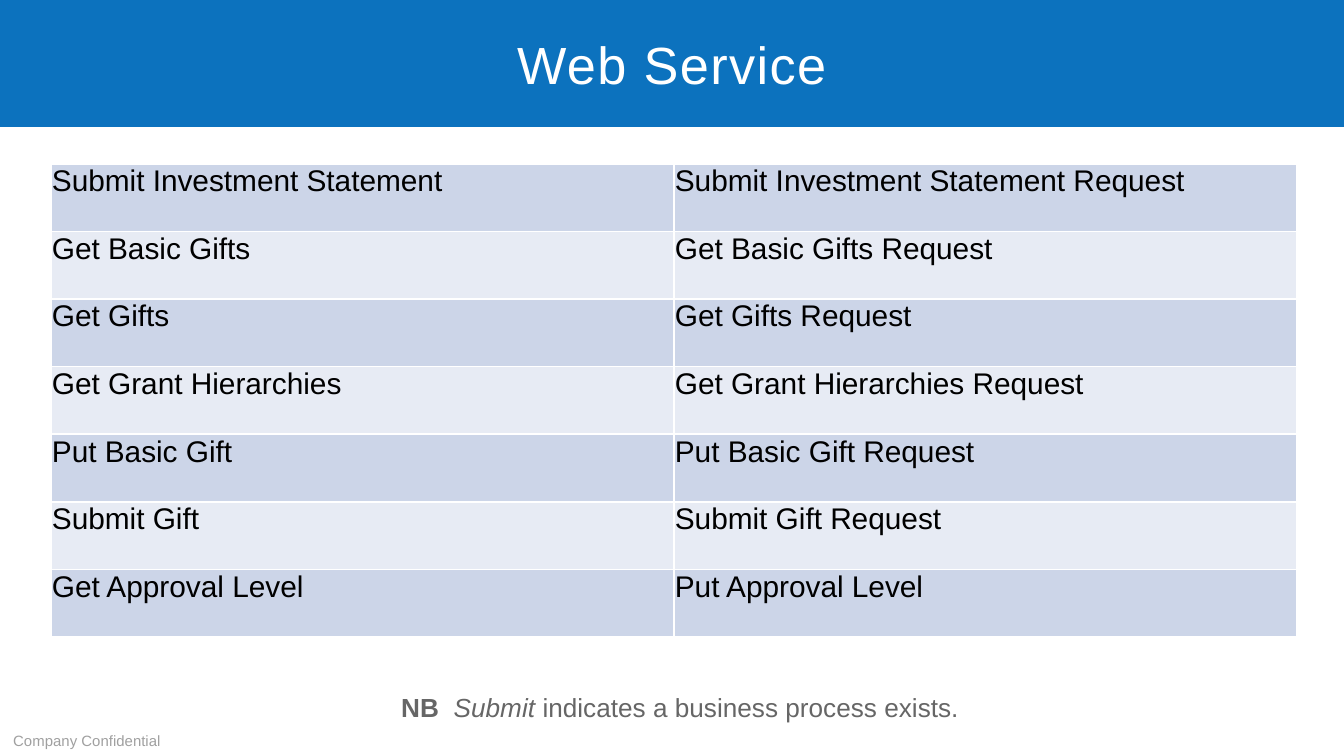
import dataclasses

import lxml.etree
import pptx
import pptx.dml.color
import pptx.enum.shapes
import pptx.enum.text
import pptx.oxml.ns
import pptx.util

SLIDE_WIDTH, SLIDE_HEIGHT = 1344, 756
EMU_PER_PX = 914400 * 10 / SLIDE_WIDTH
ANCHOR = pptx.enum.text.MSO_ANCHOR
ALIGN = pptx.enum.text.PP_ALIGN


@dataclasses.dataclass(frozen=True)
class Theme:
    font: str = "Arial"
    banner: str = "0C72BE"
    white: str = "FFFFFF"
    table_text: str = "000000"
    note_text: str = "666666"
    footer_text: str = "A0A0A0"
    bands: tuple = ("CCD5E8", "E7EBF4")
    title_size: int = 28
    table_size: int = 16
    note_size: int = 14
    footer_size: int = 8
    title_spacing: float = 0.8
    border_width: int = 1


def px(length):
    return pptx.util.Emu(round(length * EMU_PER_PX))


def rgb(color):
    return pptx.dml.color.RGBColor.from_string(color)


class SlideBuilder:
    def __init__(self, slide, theme):
        self.slide = slide
        self.theme = theme

    def add_run(self, paragraph, text, size, color, bold=False, italic=False):
        run = paragraph.add_run()
        run.text = text
        font = run.font
        font.name, font.size = self.theme.font, pptx.util.Pt(size)
        font.bold, font.italic = bold, italic
        font.color.rgb = rgb(color)
        return run

    def banner(self, text, *box):
        shape = self.slide.shapes.add_shape(
            pptx.enum.shapes.MSO_SHAPE.RECTANGLE, *map(px, box))
        shape.shadow.inherit = False
        shape.fill.solid()
        shape.fill.fore_color.rgb = rgb(self.theme.banner)
        shape.line.fill.background()
        shape.text_frame.vertical_anchor = ANCHOR.MIDDLE
        paragraph = shape.text_frame.paragraphs[0]
        paragraph.alignment = ALIGN.CENTER
        run = self.add_run(paragraph, text, self.theme.title_size, self.theme.white)
        spacing = round(self.theme.title_spacing * 100)
        run.font._element.set("spc", str(spacing))

    def text(self, runs, size, color, *box, anchor=ANCHOR.TOP, spacing=0):
        """Add a text box; runs are (text, bold, italic)."""
        frame = self.slide.shapes.add_textbox(*map(px, box)).text_frame
        frame.word_wrap = True
        frame.vertical_anchor = anchor
        paragraph = frame.paragraphs[0]
        paragraph.space_before = paragraph.space_after = pptx.util.Pt(spacing)
        for text, bold, italic in runs:
            self.add_run(paragraph, text, size, color, bold, italic)

    def table(self, rows, *box):
        table = self.slide.shapes.add_table(
            len(rows), len(rows[0]), *map(px, box)).table
        table.first_row = table.horz_banding = False
        for row_index, row in enumerate(rows):
            band = self.theme.bands[row_index % len(self.theme.bands)]
            for column_index, text in enumerate(row):
                self.fill_cell(table.cell(row_index, column_index), text, band)

    def fill_cell(self, cell, text, band):
        cell.margin_left = cell.margin_right = cell.margin_top = px(1)
        cell.margin_bottom = 0
        cell.vertical_anchor = ANCHOR.TOP
        self.add_run(cell.text_frame.paragraphs[0], text,
                     self.theme.table_size, self.theme.table_text)
        self.add_borders(cell)
        cell.fill.solid()
        cell.fill.fore_color.rgb = rgb(band)

    def add_borders(self, cell):
        qn = pptx.oxml.ns.qn
        properties = cell._tc.get_or_add_tcPr()
        width = str(pptx.util.Pt(self.theme.border_width))
        for side in ("a:lnL", "a:lnR", "a:lnT", "a:lnB"):
            line = lxml.etree.SubElement(properties, qn(side), w=width)
            fill = lxml.etree.SubElement(line, qn("a:solidFill"))
            lxml.etree.SubElement(fill, qn("a:srgbClr"), val=self.theme.white)


def main():
    presentation = pptx.Presentation()
    presentation.slide_width = px(SLIDE_WIDTH)
    presentation.slide_height = px(SLIDE_HEIGHT)
    slide = presentation.slides.add_slide(presentation.slide_layouts[6])
    theme = Theme()
    builder = SlideBuilder(slide, theme)

    builder.banner("Web Service", 0, 0, SLIDE_WIDTH, 127)
    builder.text([("Company Confidential", False, False)],
                 theme.footer_size, theme.footer_text,
                 0, 715, 454, 41, anchor=ANCHOR.BOTTOM)

    requests = ["Submit Investment Statement", "Get Basic Gifts", "Get Gifts",
                "Get Grant Hierarchies", "Put Basic Gift", "Submit Gift"]
    rows = [(name, f"{name} Request") for name in requests]
    rows.append(("Get Approval Level", "Put Approval Level"))
    builder.table(rows, 51, 164, 1246, 473)

    builder.text([("NB  ", True, False), ("Submit ", False, True),
                  ("indicates a business process exists.", False, False)],
                 theme.note_size, theme.note_text,
                 388, 685, 1212, 52, spacing=6)
    presentation.save("out.pptx")


if __name__ == "__main__":
    main()
